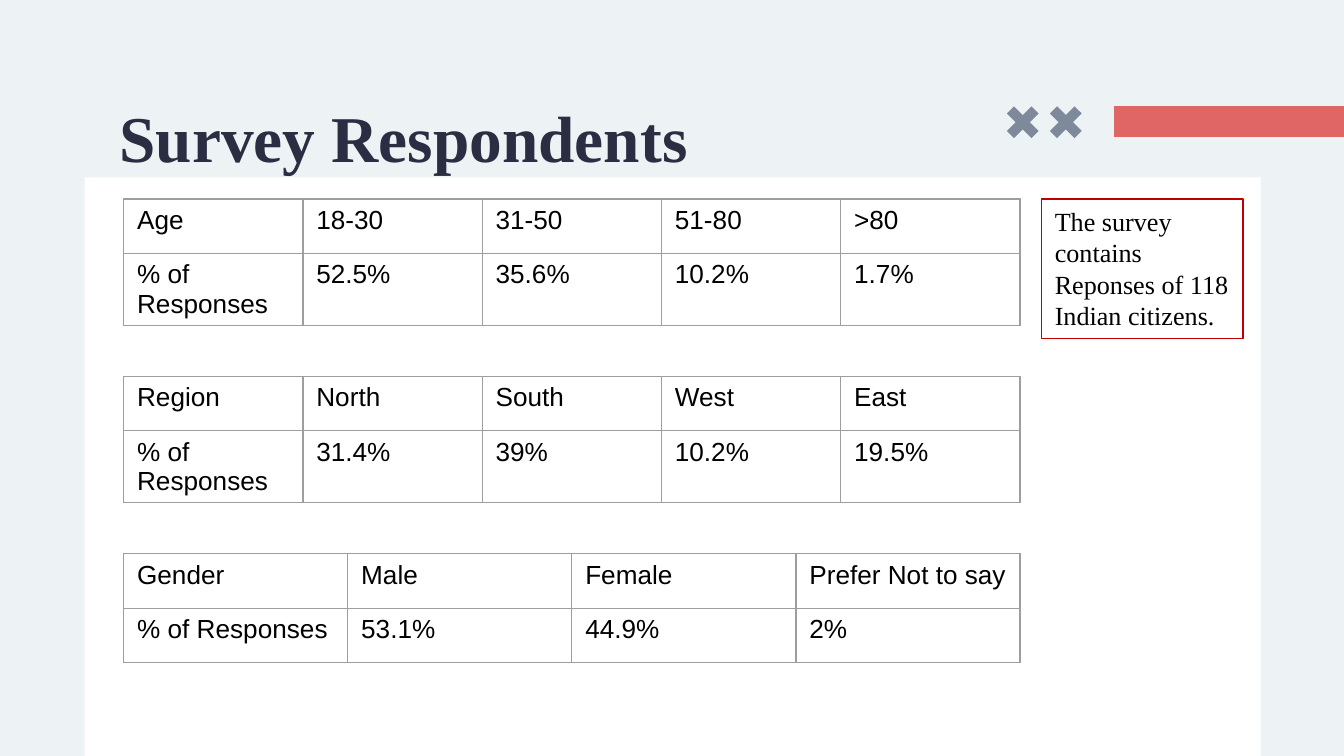
from dataclasses import dataclass

from lxml import etree
from pptx import Presentation
from pptx import util as u
from pptx.dml.color import RGBColor
from pptx.enum import shapes, text
from pptx.oxml.ns import qn

SERIF = "Times New Roman"
SANS = "Arial"
INK = "000000"
GRID = "9E9E9E"
TABLE_LEFT, TABLE_WIDTH, TABLE_HEIGHT = 0.92, 6.67, 0.81
FIRST_TOP, TABLE_STEP = 1.48, 1.32


@dataclass
class Breakdown:
    topic: str
    shares: dict[str, str]


BREAKDOWNS = [
    Breakdown("Age", {"18-30": "52.5%", "31-50": "35.6%", "51-80": "10.2%", ">80": "1.7%"}),
    Breakdown("Region", {"North": "31.4%", "South": "39%", "West": "10.2%", "East": "19.5%"}),
    Breakdown("Gender", {"Male": "53.1%", "Female": "44.9%", "Prefer Not to say": "2%"}),
]


def color(value: str) -> RGBColor:
    return RGBColor.from_string(value)


def box(left: float, top: float, width: float, height: float) -> tuple:
    return tuple(u.Inches(length) for length in (left, top, width, height))


def style(paragraph, size: float, face: str, ink: str, bold: bool = False) -> None:
    font = paragraph.font
    font.size, font.name, font.bold = u.Pt(size), face, bold
    font.color.rgb = color(ink)


def add_block(slide, kind, area: tuple, fill: str):
    block = slide.shapes.add_shape(kind, *area)
    block.shadow.inherit = False
    block.fill.solid()
    block.fill.fore_color.rgb = color(fill)
    block.line.fill.background()
    return block


def add_cross(slide, left: float) -> None:
    cross = add_block(slide, shapes.MSO_SHAPE.CROSS, box(left, 0.78, 0.26, 0.26), "7E899C")
    cross.adjustments[0] = 0.356
    cross.rotation = 45


def add_title(slide, wording: str) -> None:
    title = slide.shapes.add_textbox(*box(0.79, 0.62, 5.47, 0.62))
    frame = title.text_frame
    frame.word_wrap = True
    frame.margin_top = frame.margin_bottom = u.Inches(0.1)
    frame.text = wording
    style(frame.paragraphs[0], 35, SERIF, "2B2D42", bold=True)


def add_note(slide, wording: str) -> None:
    note = slide.shapes.add_shape(shapes.MSO_SHAPE.RECTANGLE, *box(7.75, 1.48, 1.5, 1.04))
    note.shadow.inherit = False
    note.fill.background()
    note.line.color.rgb = color("C00000")
    note.line.width = u.Pt(0.75)
    frame = note.text_frame
    frame.word_wrap = True
    frame.vertical_anchor = text.MSO_ANCHOR.TOP
    frame.text = wording
    paragraph = frame.paragraphs[0]
    paragraph.alignment = text.PP_ALIGN.LEFT
    style(paragraph, 14, SERIF, INK)


def outline(cell) -> None:
    properties = cell._tc.get_or_add_tcPr()
    for position, side in enumerate(("a:lnL", "a:lnR", "a:lnT", "a:lnB")):
        line = etree.Element(qn(side), w=str(u.Pt(0.75)))
        fill = etree.SubElement(line, qn("a:solidFill"))
        etree.SubElement(fill, qn("a:srgbClr"), val=GRID)
        properties.insert(position, line)


def add_breakdown(slide, breakdown: Breakdown, top: float) -> None:
    rows = [
        [breakdown.topic, *breakdown.shares],
        ["% of Responses", *breakdown.shares.values()],
    ]
    area = box(TABLE_LEFT, top, TABLE_WIDTH, TABLE_HEIGHT)
    table = slide.shapes.add_table(len(rows), len(rows[0]), *area).table
    table.first_row = table.horz_banding = False
    for row, entries in zip(table.rows, rows):
        for cell, entry in zip(row.cells, entries):
            cell.text = entry
            cell.margin_bottom = u.Inches(0.02)
            cell.fill.background()
            style(cell.text_frame.paragraphs[0], 14, SANS, INK)
            outline(cell)


def main() -> None:
    """Build the survey respondents slide with one table per breakdown."""
    deck = Presentation()
    deck.slide_width = u.Inches(10)
    deck.slide_height = deck.slide_width * 9 // 16
    slide = deck.slides.add_slide(deck.slide_layouts[6])
    slide.background.fill.solid()
    slide.background.fill.fore_color.rgb = color("EDF2F4")

    rectangle = shapes.MSO_SHAPE.RECTANGLE
    add_block(slide, rectangle, box(0.63, 1.32, 8.75, 4.45), "FFFFFF")
    add_block(slide, rectangle, box(8.29, 0.79, 1.71, 0.23), "E06666")
    for left in (7.8, 7.48):
        add_cross(slide, left)
    add_title(slide, "Survey Respondents")
    for index, breakdown in enumerate(BREAKDOWNS):
        add_breakdown(slide, breakdown, FIRST_TOP + index * TABLE_STEP)
    add_note(slide, "The survey contains Reponses of 118 Indian citizens.")
    deck.save("out.pptx")


if __name__ == "__main__":
    main()
